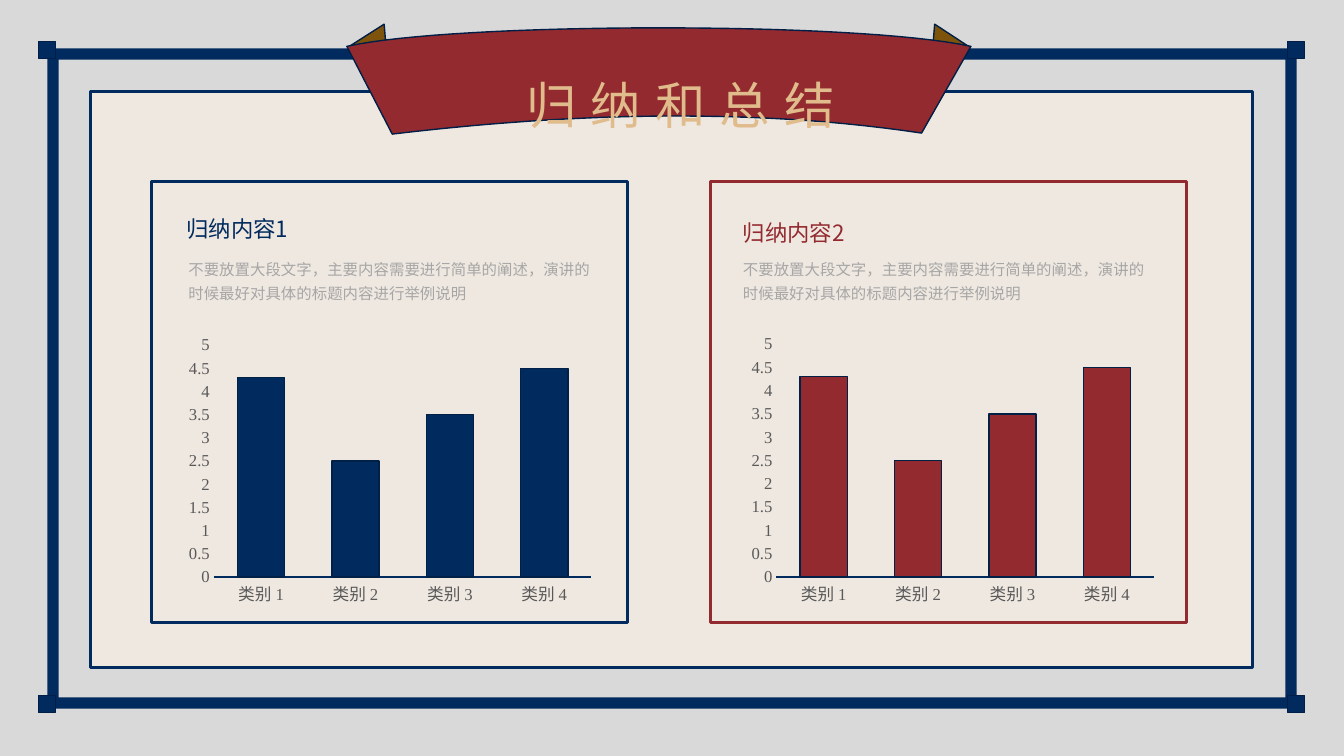
from lxml.etree import SubElement
from pptx import Presentation
from pptx.chart.data import CategoryChartData
from pptx.dml.color import RGBColor
from pptx.enum.chart import XL_CHART_TYPE, XL_TICK_MARK
from pptx.enum.shapes import MSO_SHAPE
from pptx.enum.text import MSO_ANCHOR, MSO_AUTO_SIZE, PP_ALIGN
from pptx.oxml import parse_xml
from pptx.oxml.ns import nsdecls, qn
from pptx.util import Inches, Pt

TITLE = "归纳和总结"
DESCRIPTION = "不要放置大段文字，主要内容需要进行简单的阐述，演讲的时候最好对具体的标题内容进行举例说明"
CATEGORIES = ["类别 1", "类别 2", "类别 3", "类别 4"]
VALUES = [4.3, 2.5, 3.5, 4.5]
PANELS = [
    {"heading": "归纳内容1", "color": "navy", "left": 1.5, "align": PP_ALIGN.CENTER,
     "heading_at": (1.41, 2.09), "description_left": 1.77, "chart_at": (1.79, 3.28, 4.16, 2.79)},
    {"heading": "归纳内容2", "color": "red", "left": 7.05, "align": PP_ALIGN.LEFT,
     "heading_at": (7.27, 2.13), "description_left": 7.27, "chart_at": (7.37, 3.27, 4.16, 2.8)},
]
FOLDS = [
    [(3.45, 0.47), (3.81, 0.24), (3.84, 0.6)],
    [(9.62, 0.47), (9.27, 0.24), (9.24, 0.6)],
]
RIBBON_BOTTOM = [(3.89, 1.33), (5.16, 1.18), (7.14, 1.02), (9.14, 1.32)]
RIBBON_TOP = [(9.63, 0.46), (8.49, 0.21), (4.5, 0.22), (3.44, 0.46)]

COLORS = {
    "navy": "012A5E", "red": "932A2F", "gold": "E0BB8B", "brown": "7E540C",
    "backdrop": "D9D9D9", "paper": "EFE8E0", "outline": "011F46",
    "bar_outline": "012045", "description": "A6A6A6", "axis": "595959",
}
SANS = "Noto Sans CJK SC"
SERIF = "Times New Roman"


def color(name):
    return RGBColor.from_string(COLORS[name])


def paint(shape, fill=None, line=None, width=1):
    shape.shadow.inherit = False
    if fill:
        shape.fill.solid()
        shape.fill.fore_color.rgb = color(fill)
    else:
        shape.fill.background()
    if line:
        shape.line.color.rgb = color(line)
        shape.line.width = Pt(width)
    else:
        shape.line.fill.background()


def add_box(slide, box, kind=MSO_SHAPE.RECTANGLE, **style):
    shape = slide.shapes.add_shape(kind, *map(Inches, box))
    paint(shape, **style)
    return shape


def add_outline(slide, points, **style):
    corners = [(Inches(x), Inches(y)) for x, y in points]
    builder = slide.shapes.build_freeform(*corners[0])
    builder.add_line_segments(corners[1:], close=True)
    shape = builder.convert_to_shape()
    paint(shape, **style)
    return shape


def curve(controls, steps=32):
    """Return points along a cubic Bezier curve."""
    points = []
    for step in range(steps + 1):
        t = step / steps
        weights = ((1 - t) ** 3, 3 * t * (1 - t) ** 2, 3 * t * t * (1 - t), t ** 3)
        points.append(tuple(sum(w * point[axis] for w, point in zip(weights, controls))
                            for axis in (0, 1)))
    return points


def write(shape, text, size, ink, align=PP_ALIGN.LEFT, line_spacing=1.0, tracking=0,
          anchor=MSO_ANCHOR.TOP):
    frame = shape.text_frame
    frame.word_wrap = True
    frame.auto_size = MSO_AUTO_SIZE.SHAPE_TO_FIT_TEXT
    frame.vertical_anchor = anchor
    paragraph = frame.paragraphs[0]
    paragraph.alignment = align
    paragraph.line_spacing = line_spacing
    run = paragraph.add_run()
    run.text = text
    run.font.size = Pt(size)
    run.font.name = SANS
    run.font.color.rgb = color(ink)
    properties = run.font._element
    SubElement(properties, qn("a:ea")).set("typeface", SANS)
    if tracking:
        properties.set("spc", str(tracking * 100))


def add_text(slide, box, text, **style):
    write(slide.shapes.add_textbox(*map(Inches, box)), text, **style)


def add_column_chart(slide, box, bar_color):
    data = CategoryChartData()
    data.categories = CATEGORIES
    data.add_series("Series 1", VALUES)
    chart = slide.shapes.add_chart(
        XL_CHART_TYPE.COLUMN_CLUSTERED, *map(Inches, box), data).chart
    chart.has_legend = False
    chart.has_title = False
    chart.font.size = Pt(10)
    chart.font.name = SERIF
    chart_space = chart._chartSpace
    chart_space.find(qn("c:chart")).addnext(parse_xml(
        f'<c:spPr {nsdecls("c", "a")}><a:noFill/><a:ln><a:noFill/></a:ln></c:spPr>'))

    plot = chart.plots[0]
    plot.vary_by_categories = False
    plot.gap_width = 100
    plot.overlap = -27
    series = plot.series[0]
    series.format.fill.solid()
    series.format.fill.fore_color.rgb = color(bar_color)
    series.format.line.color.rgb = color("bar_outline")
    series.format.line.width = Pt(1)

    for axis in (chart.category_axis, chart.value_axis):
        axis.has_major_gridlines = False
        axis.major_tick_mark = XL_TICK_MARK.NONE
        axis.minor_tick_mark = XL_TICK_MARK.NONE
        font = axis.tick_labels.font
        font.size = Pt(11.9)
        font.name = SERIF
        font.color.rgb = color("axis")
        properties = axis._element.find(".//" + qn("a:defRPr"))
        SubElement(properties, qn("a:ea")).set("typeface", SANS)
    chart.category_axis.format.line.color.rgb = color("navy")
    chart.category_axis.format.line.width = Pt(1)
    value_axis = chart.value_axis
    value_axis.format.line.fill.background()
    value_axis.minimum_scale = 0
    value_axis.maximum_scale = 5
    value_axis.major_unit = 0.5


def add_frame(slide):
    add_box(slide, (0, 0, 13.33, 7.5), fill="backdrop")
    border = add_box(slide, (0.47, 0.48, 12.39, 6.55), MSO_SHAPE.FRAME, fill="navy")
    border.adjustments[0] = 0.017
    for left in (0.38, 12.77):
        for top in (0.41, 6.9):
            add_box(slide, (left, top, 0.17, 0.17), fill="navy", line="outline")
    add_box(slide, (0.9, 0.91, 11.52, 5.71), fill="paper", line="navy", width=2.25)


def add_banner(slide):
    for fold in FOLDS:
        add_outline(slide, fold, fill="brown", line="outline")
    ribbon = add_outline(slide, curve(RIBBON_BOTTOM) + curve(RIBBON_TOP),
                         fill="red", line="outline")
    title = slide.shapes.title
    ribbon.element.addnext(title.element)
    title.left, title.top, title.width, title.height = map(Inches, (2.58, 0.69, 8.34, 0.68))
    write(title, TITLE, size=36, ink="gold", align=PP_ALIGN.CENTER, tracking=10,
          anchor=MSO_ANCHOR.MIDDLE)


def add_panel(slide, panel):
    add_box(slide, (panel["left"], 1.8, 4.72, 4.38), line=panel["color"], width=2)
    add_column_chart(slide, panel["chart_at"], panel["color"])
    add_text(slide, (*panel["heading_at"], 1.89, 0.37), panel["heading"],
             size=16, ink=panel["color"], align=panel["align"])
    add_text(slide, (panel["description_left"], 2.48, 4.28, 0.56), DESCRIPTION,
             size=11, ink="description", line_spacing=1.3)


def main():
    presentation = Presentation()
    presentation.slide_width = Inches(13.33)
    presentation.slide_height = Inches(7.5)
    slide = presentation.slides.add_slide(presentation.slide_layouts[5])
    add_frame(slide)
    add_banner(slide)
    for panel in PANELS:
        add_panel(slide, panel)
    presentation.save("out.pptx")


if __name__ == "__main__":
    main()
